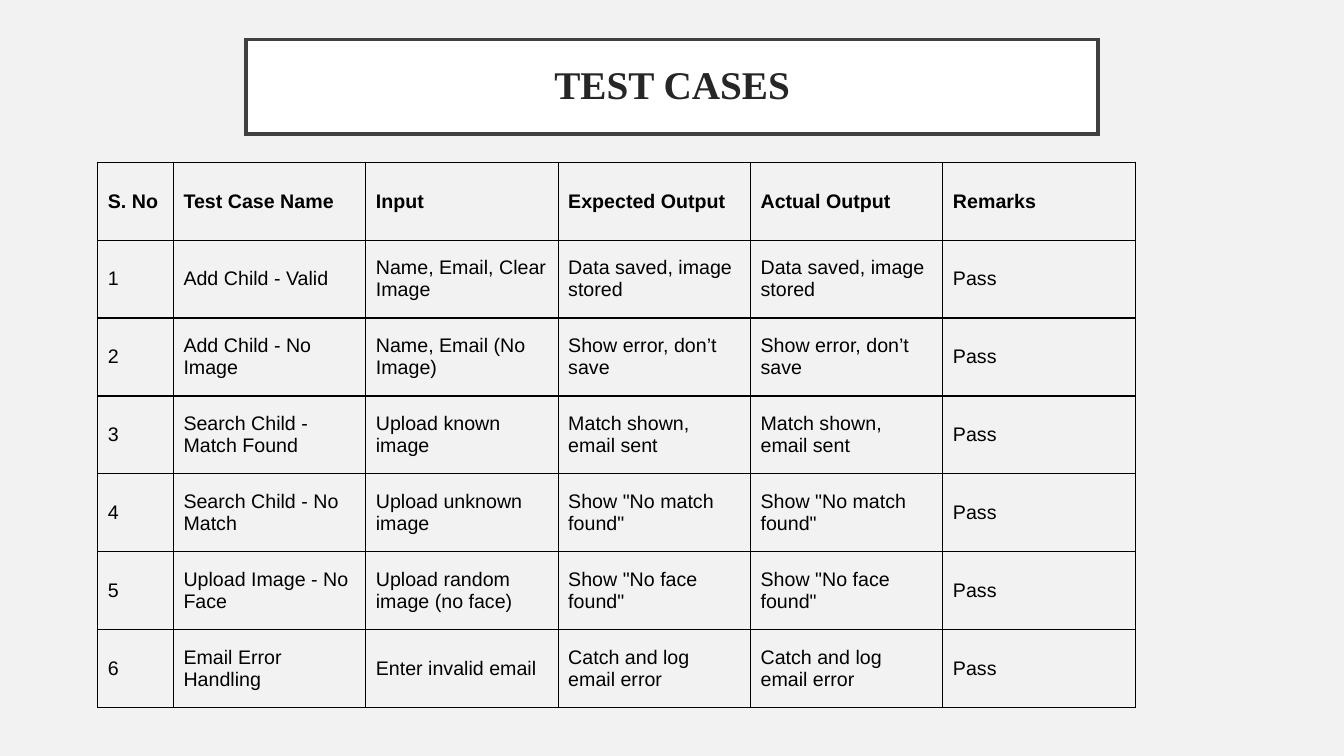
from lxml.etree import SubElement
from pptx import Presentation
from pptx.dml.color import RGBColor
from pptx.enum.shapes import MSO_SHAPE
from pptx.enum.text import MSO_ANCHOR, PP_ALIGN
from pptx.oxml.ns import qn
from pptx.util import Inches, Pt


def paint(color, code):
    color.rgb = RGBColor.from_string(code)


def style(para, face, size, code, bold):
    for run in para.runs:
        run.font.name = face
        run.font.size = Pt(size)
        run.font.bold = bold
        paint(run.font.color, code)


deck = Presentation()
deck.slide_width = Inches(13.33)
deck.slide_height = Inches(7.5)
slide = deck.slides.add_slide(deck.slide_layouts[6])
slide.background.fill.solid()
paint(slide.background.fill.fore_color, "F2F2F2")

title = slide.shapes.add_shape(
    MSO_SHAPE.RECTANGLE, Inches(2.44), Inches(0.39), Inches(8.45), Inches(0.94))
title.shadow.inherit = False
title.fill.solid()
paint(title.fill.fore_color, "FFFFFF")
paint(title.line.color, "404040")
title.line.width = Pt(2.5)
SubElement(title.line._get_or_add_ln(), qn("a:miter"), lim="800000")
frame = title.text_frame
frame.text = "TEST CASES"
frame.word_wrap = True
frame.vertical_anchor = MSO_ANCHOR.MIDDLE
frame.margin_left = frame.margin_right = Inches(0.2)
frame.margin_top = frame.margin_bottom = Inches(0.2)
head = frame.paragraphs[0]
head.alignment = PP_ALIGN.CENTER
head.line_spacing = 0.9
style(head, "Times New Roman", 28, "262626", True)

cases = [
    ("Add Child - Valid", "Name, Email, Clear Image", "Data saved, image stored"),
    ("Add Child - No Image", "Name, Email (No Image)", "Show error, don’t save"),
    ("Search Child - Match Found", "Upload known image", "Match shown, email sent"),
    ("Search Child - No Match", "Upload unknown image", 'Show "No match found"'),
    ("Upload Image - No Face", "Upload random image (no face)", 'Show "No face found"'),
    ("Email Error Handling", "Enter invalid email", "Catch and log email error"),
]
rows = [("S. No", "Test Case Name", "Input", "Expected Output", "Actual Output", "Remarks")]
for num, (name, given, result) in enumerate(cases, 1):
    rows.append((str(num), name, given, result, result, "Pass"))

wide, tall, first = 10.29, 5.41, 0.75
widths = [first] + [(wide - first) / 5] * 5
table = slide.shapes.add_table(
    len(rows), len(widths), Inches(0.97), Inches(1.61), Inches(wide), Inches(tall)).table
table.horz_banding = False
for col, width in zip(table.columns, widths):
    col.width = Inches(width)

for r, row in enumerate(rows):
    table.rows[r].height = Inches(tall / len(rows))
    for c, text in enumerate(row):
        cell = table.cell(r, c)
        cell.text_frame.text = text
        cell.vertical_anchor = MSO_ANCHOR.MIDDLE
        style(cell.text_frame.paragraphs[0], "Arial", 14, "000000", r == 0)
        props = cell._tc.get_or_add_tcPr()
        for side in ("lnL", "lnR", "lnT", "lnB"):
            edge = SubElement(props, qn("a:" + side), w=str(Pt(1)))
            fill = SubElement(edge, qn("a:solidFill"))
            SubElement(fill, qn("a:srgbClr"), val="000000")
        cell.fill.background()

deck.save("out.pptx")
